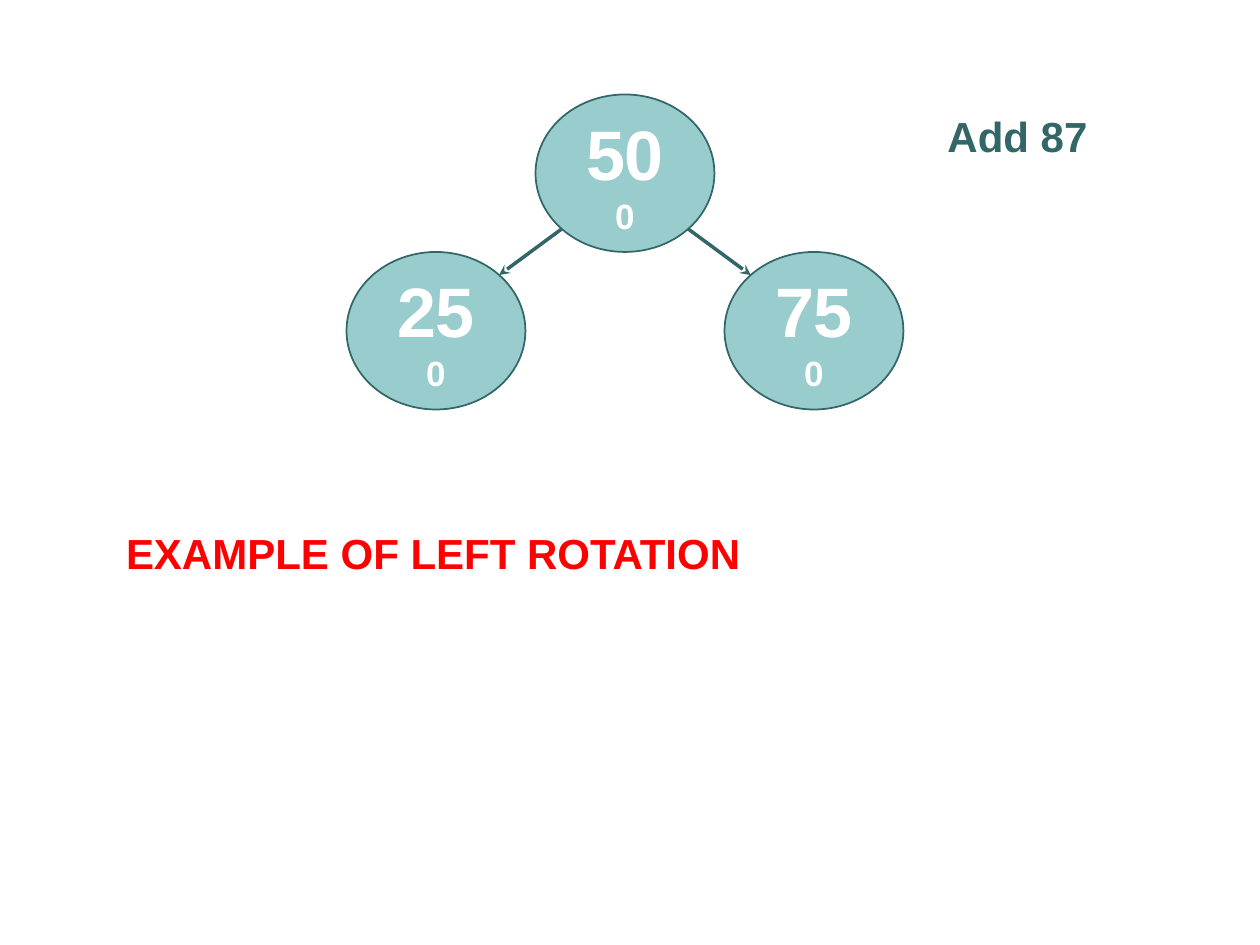
"""Build a slide showing a balanced tree before a left rotation."""
import dataclasses
import math

import pptx
import pptx.dml.color
import pptx.enum.shapes
import pptx.enum.text
import pptx.oxml
import pptx.oxml.ns
import pptx.util

Inches = pptx.util.Inches


@dataclasses.dataclass(frozen=True)
class Theme:
    """Colours, font and type sizes of the slide."""
    font: str = "Arial"
    node: str = "99CCCC"
    dark: str = "336666"
    light: str = "FFFFFF"
    accent: str = "FF0000"
    key_size: int = 40
    balance_size: int = 20
    label_size: int = 24
    outline: int = 1
    arrow: int = 2


THEME = Theme()
ALIGN = pptx.enum.text.PP_ALIGN
ANCHOR = pptx.enum.text.MSO_ANCHOR


def color(value):
    """Return a colour object for a hex string."""
    return pptx.dml.color.RGBColor.from_string(value)


def style_font(font, size, value):
    """Apply the bold slide font in a size and colour."""
    font.name = THEME.font
    font.size = pptx.util.Pt(size)
    font.bold = True
    font.color.rgb = color(value)


def add_node(slide, box, key, balance):
    """Draw a tree node with its key above its balance factor."""
    shape = slide.shapes.add_shape(pptx.enum.shapes.MSO_SHAPE.OVAL, *box)
    shape.shadow.inherit = False
    shape.fill.solid()
    shape.fill.fore_color.rgb = color(THEME.node)
    shape.line.color.rgb = color(THEME.dark)
    shape.line.width = pptx.util.Pt(THEME.outline)
    frame = shape.text_frame
    frame.word_wrap = False
    frame.vertical_anchor = ANCHOR.MIDDLE
    paragraph = frame.paragraphs[0]
    paragraph.alignment = ALIGN.CENTER
    key_run = paragraph.add_run()
    key_run.text = key
    style_font(key_run.font, THEME.key_size, THEME.light)
    paragraph.add_line_break()
    balance_run = paragraph.add_run()
    balance_run.text = balance
    style_font(balance_run.font, THEME.balance_size, THEME.light)


def diagonal_point(box, horizontal, vertical):
    """Return the point on an ellipse midway between two of its axes."""
    left, top, width, height = box
    reach = math.sqrt(0.5)
    return (round(left + width / 2 * (1 + horizontal * reach)),
            round(top + height / 2 * (1 + vertical * reach)))


def add_branch(slide, parent, child, side):
    """Draw an arrow from a parent node to the child on the given side."""
    connector = slide.shapes.add_connector(
        pptx.enum.shapes.MSO_CONNECTOR.STRAIGHT,
        *diagonal_point(parent, side, 1), *diagonal_point(child, -side, -1))
    connector.line.color.rgb = color(THEME.dark)
    connector.line.width = pptx.util.Pt(THEME.arrow)
    line = connector.line._get_or_add_ln()
    line.append(pptx.oxml.parse_xml(
        f'<a:tailEnd {pptx.oxml.ns.nsdecls("a")} type="stealth"/>'))
    connector._element.spPr.append(pptx.oxml.parse_xml(
        f'<a:effectLst {pptx.oxml.ns.nsdecls("a")}/>'))


def add_tree(slide, box):
    """Draw a root and its two children inside the box."""
    left, top, width, height = box
    node_width, node_height = Inches(1.42), height // 2
    root = (left + (width - node_width) // 2, top, node_width, node_height)
    add_node(slide, root, "50", "0")
    for side, key in ((1, "75"), (-1, "25")):
        child_left = left + (width - node_width) * (1 + side) // 2
        child = (child_left, top + node_height, node_width, node_height)
        add_node(slide, child, key, "0")
        add_branch(slide, root, child, side)


def fill_label(shape, box, text, value, alignment):
    """Place a one-line label in the box."""
    shape.left, shape.top, shape.width, shape.height = box
    frame = shape.text_frame
    frame.text = text
    frame.word_wrap = False
    frame.auto_size = pptx.enum.text.MSO_AUTO_SIZE.SHAPE_TO_FIT_TEXT
    frame.vertical_anchor = ANCHOR.TOP
    paragraph = frame.paragraphs[0]
    paragraph.alignment = alignment
    style_font(paragraph.font, THEME.label_size, value)


def main():
    """Build and save the presentation."""
    presentation = pptx.Presentation()
    presentation.slide_width = Inches(10)
    presentation.slide_height = Inches(7.5)
    slide = presentation.slides.add_slide(presentation.slide_layouts[5])
    add_tree(slide, (Inches(2.75), Inches(0.75), Inches(4.42), Inches(2.5)))
    step_box = (Inches(7.42), Inches(0.83), Inches(1.31), Inches(0.5))
    fill_label(slide.shapes.add_textbox(*step_box), step_box,
               "Add 87", THEME.dark, ALIGN.CENTER)
    title_box = (Inches(0.9), Inches(4.14), Inches(5.12), Inches(0.51))
    fill_label(slide.shapes.title, title_box,
               "EXAMPLE OF LEFT ROTATION", THEME.accent, ALIGN.LEFT)
    presentation.save("out.pptx")


if __name__ == "__main__":
    main()
